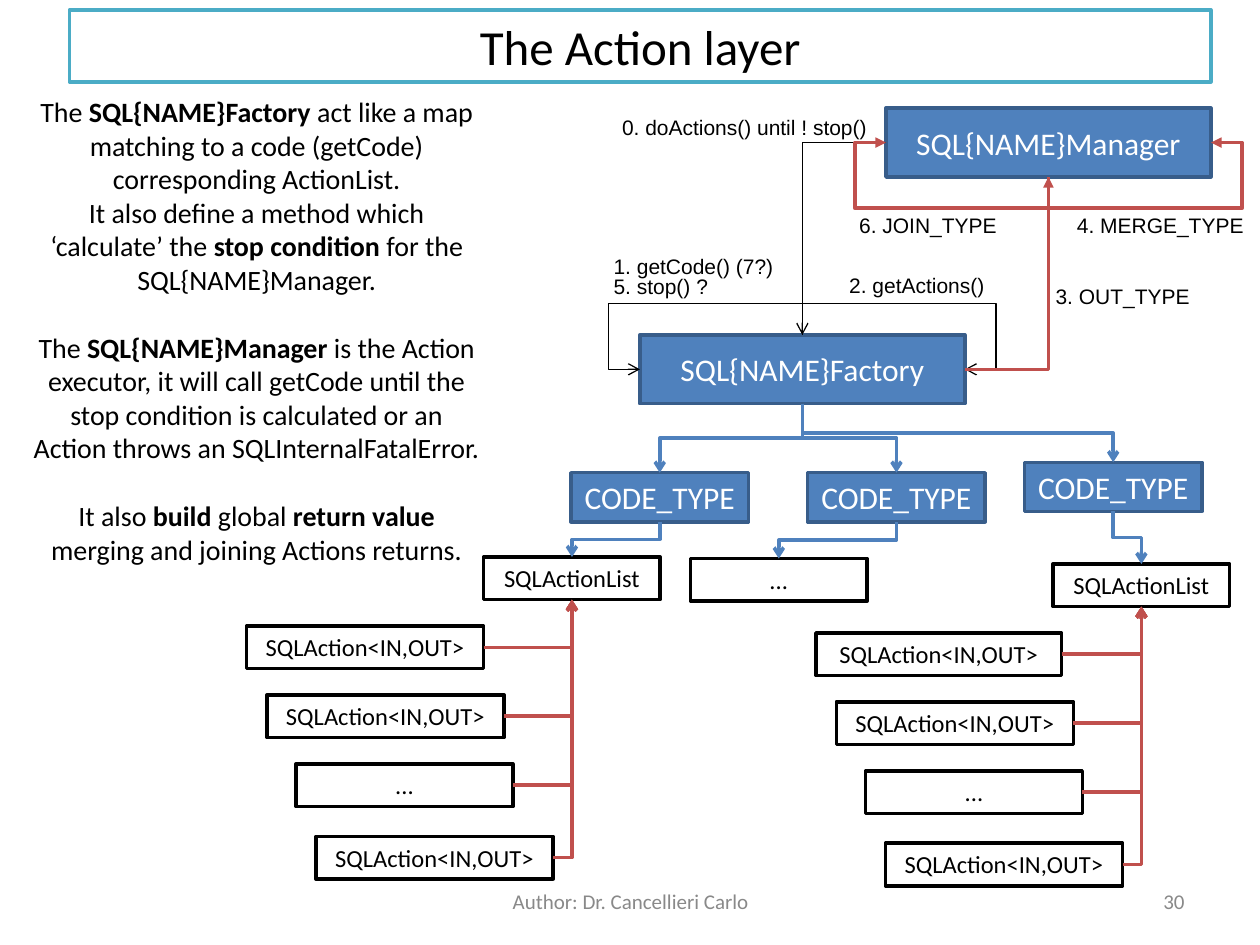
from lxml.etree import SubElement
from pptx import Presentation
from pptx.dml.color import RGBColor
from pptx.enum.shapes import MSO_CONNECTOR, MSO_SHAPE
from pptx.enum.text import MSO_ANCHOR, PP_ALIGN
from pptx.oxml.ns import qn
from pptx.util import Cm, Pt

BLACK = RGBColor(0x00, 0x00, 0x00)
WHITE = RGBColor(0xFF, 0xFF, 0xFF)
GREY = RGBColor(0x89, 0x89, 0x89)
BLUE = RGBColor(0x4F, 0x81, 0xBD)
DARK_BLUE = RGBColor(0x38, 0x5D, 0x8A)
TEAL = RGBColor(0x4B, 0xAC, 0xC6)
RED = RGBColor(0xC0, 0x50, 0x4D)

TOP, LEFT, BOTTOM, RIGHT = range(4)
ELBOWS = {"corner": "bentConnector2", "step": "bentConnector3", "loop": "bentConnector4"}


class DiagramSlide:
    line_width = Pt(2)
    loop_clearance = Cm(0.63)
    list_size = (3.56, 0.86)

    def __init__(self, slide):
        self.shapes = slide.shapes

    def fill_text(self, frame, paragraphs, anchor, align, size, color, name="Calibri", gaps=()):
        """Fill a frame; each paragraph is a list of spans, every second one bold."""
        frame.word_wrap = True
        frame.vertical_anchor = anchor
        font_format = {"size": Pt(size), "name": name}
        for index, spans in enumerate(paragraphs):
            para = frame.paragraphs[0] if index == 0 else frame.add_paragraph()
            para.alignment = align
            if index in gaps:
                para.space_before = Pt(19.5)
            for position, text in enumerate(spans):
                span = para.add_run()
                span.text = text
                for key, value in font_format.items():
                    setattr(span.font, key, value)
                span.font.bold = position % 2 == 1
                span.font.color.rgb = color

    def panel(self, place, paragraphs, size=14, fill=WHITE, outline=BLACK,
              color=BLACK, anchor=MSO_ANCHOR.TOP, gaps=()):
        box = self.shapes.add_shape(MSO_SHAPE.RECTANGLE, *map(Cm, place))
        box.shadow.inherit = False
        box.fill.solid()
        box.fill.fore_color.rgb = fill
        box.line.color.rgb = outline
        box.line.width = self.line_width
        self.fill_text(box.text_frame, paragraphs, anchor, PP_ALIGN.CENTER, size, color, gaps=gaps)
        return box

    def blue_box(self, place, text):
        return self.panel(place, [[text]], 18, BLUE, DARK_BLUE, WHITE, MSO_ANCHOR.MIDDLE)

    def label(self, left, top, width, text):
        box = self.shapes.add_textbox(*map(Cm, (left, top, width, 0.76)))
        self.fill_text(box.text_frame, [[text]], MSO_ANCHOR.TOP, PP_ALIGN.LEFT, 12, BLACK, "Arial")

    def footer(self, left, width, text, align):
        box = self.shapes.add_textbox(*map(Cm, (left, 17.65, width, 1.02)))
        self.fill_text(box.text_frame, [[text]], MSO_ANCHOR.MIDDLE, align, 12, GREY)

    def link(self, source, source_side, target, target_side, kind,
             color=BLUE, width=line_width, head="arrow"):
        """Join two box sides: a corner leaves sideways, a step or loop leaves vertically."""
        link = self.shapes.add_connector(MSO_CONNECTOR.ELBOW, 0, 0, 0, 0)
        link.begin_connect(source, source_side)
        link.end_connect(target, target_side)
        run, rise = link.end_x - link.begin_x, link.end_y - link.begin_y
        center_x = (link.begin_x + link.end_x) // 2
        center_y = (link.begin_y + link.end_y) // 2
        across, down = abs(run), abs(rise)
        if kind == "corner":
            box_width, box_height = across, down
            rotation, flip_h = 0, run < 0
        else:
            box_width, box_height = down, across
            rotation, flip_h = (270 if run * rise > 0 else 90), run > 0
        place = {"left": center_x - box_width // 2, "top": center_y - box_height // 2,
                 "width": box_width, "height": box_height}
        for key, value in place.items():
            setattr(link, key, value)

        properties = link.element.spPr
        turn = {"rot": rotation * 60000, "flipH": int(flip_h), "flipV": int(rise < 0)}
        for key, value in turn.items():
            properties.find(qn("a:xfrm")).set(key, str(value))
        geometry = properties.find(qn("a:prstGeom"))
        geometry.set("prst", ELBOWS[kind])
        if kind == "loop":
            bends = (-self.loop_clearance / down, 1 + self.loop_clearance / across)
            for number, bend in enumerate(bends, 1):
                SubElement(geometry.find(qn("a:avLst")), qn("a:gd"),
                           name=f"adj{number}", fmla=f"val {round(bend * 100000)}")
        link.line.color.rgb = color
        link.line.width = width
        SubElement(properties.find(qn("a:ln")), qn("a:tailEnd"), type=head)
        SubElement(properties, qn("a:effectLst"))

    def action_list(self, left, top, first_width):
        """Draw a list box with its four actions; return the list box."""
        list_box = self.panel((left, top, *self.list_size), [["SQLActionList"]])
        action = "SQLAction<IN,OUT>"
        rows = [(-4.78, 1.39, first_width, action), (-4.37, 2.78, 4.78, action),
                (-3.78, 4.17, 4.37, "..."), (-3.38, 5.63, 4.78, action)]
        for shift, drop, width, text in rows:
            box = self.panel((left + shift, top + drop, width, 0.86), [[text]])
            self.link(box, RIGHT, list_box, BOTTOM, "corner", RED)
        return list_box


def main():
    deck = Presentation()
    deck.slide_width, deck.slide_height = Cm(25.4), Cm(19.05)
    page = DiagramSlide(deck.slides.add_slide(deck.slide_layouts[6]))

    page.panel((0.41, 1.78, 9.53, 10.41), [
        ["The ", "SQL{NAME}Factory ",
         "act like a map matching to a code (getCode) corresponding ActionList."],
        ["It also define a method which ‘calculate’ the ", "stop condition",
         " for the SQL{NAME}Manager."],
        ["The ", "SQL{NAME}Manager ",
         "is the Action executor, it will call getCode until the stop condition is "
         "calculated or an Action throws an SQLInternalFatalError."],
        ["It also ", "build ", "global ", "return value ",
         "merging and joining Actions returns."],
    ], 16, outline=WHITE, gaps=(2, 3))
    page.panel((1.4, 0.2, 23.01, 1.45), [["The Action layer"]], 28, outline=TEAL)
    page.footer(8.69, 8.05, "Author: Dr. Cancellieri Carlo", PP_ALIGN.CENTER)
    page.footer(18.21, 5.92, "30", PP_ALIGN.RIGHT)

    manager = page.blue_box((17.86, 2.18, 6.55, 1.39), "SQL{NAME}Manager")
    factory = page.blue_box((12.9, 6.75, 6.55, 1.39), "SQL{NAME}Factory")
    lists = [page.action_list(9.75, 11.23, 4.78),
             page.panel((13.92, 11.26, *page.list_size), [["..."]]),
             page.action_list(21.23, 11.37, 4.95)]
    codes = [(11.51, 9.53), (16.28, 9.53), (20.65, 9.32)]
    for (left, top), list_box in zip(codes, lists):
        code = page.blue_box((left, top, 3.58, 0.99), "CODE_TYPE")
        page.link(factory, BOTTOM, code, TOP, "step")
        page.link(code, BOTTOM, list_box, TOP, "step")

    thin = {"color": BLACK, "width": Pt(0.75)}
    strong = {"color": RED, "head": "triangle"}
    for side in (RIGHT, LEFT):
        page.link(factory, TOP, factory, side, "loop", **thin)
    page.link(factory, RIGHT, manager, BOTTOM, "corner", **strong)
    page.link(manager, LEFT, factory, TOP, "corner", **thin)
    for side in (RIGHT, LEFT):
        page.link(manager, BOTTOM, manager, side, "loop", **strong)

    for label in [
        (12.29, 2.18, 6.15, "0. doActions() until ! stop()"),
        (12.12, 4.98, 3.76, "1. getCode() (7?)"),
        (16.87, 5.36, 3.76, "2. getActions()"),
        (21.03, 5.59, 3.38, "3. OUT_TYPE"),
        (21.46, 4.17, 3.94, "4. MERGE_TYPE"),
        (12.12, 5.38, 2.77, "5. stop() ?"),
        (17.07, 4.17, 3.94, "6. JOIN_TYPE"),
    ]:
        page.label(*label)
    deck.save("out.pptx")


if __name__ == "__main__":
    main()
